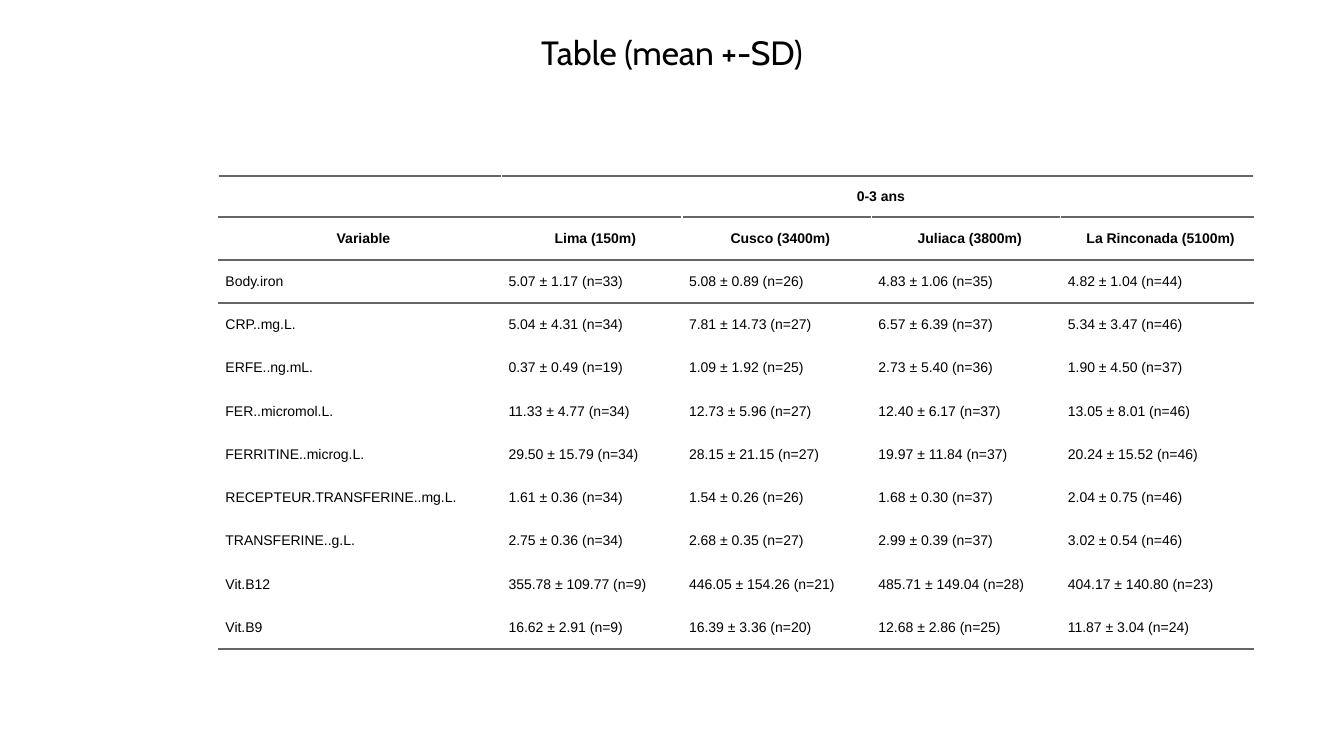
import dataclasses

import pptx
import pptx.dml.color
import pptx.enum.text
import pptx.oxml
import pptx.oxml.ns
import pptx.util


@dataclasses.dataclass(frozen=True)
class Theme:
    """Colours, fonts and sizes of the slide."""
    text: str = "000000"
    rule: str = "666666"
    title_font: str = "Cabin"
    table_font: str = "Arial"
    title_size: float = 24
    table_size: float = 10
    rule_width: float = 1.5
    indent: float = 0.07


THEME = Theme()
SLIDE_WIDTH, SLIDE_HEIGHT = pptx.util.Inches(13.33), pptx.util.Inches(7.5)
GRID_COLUMNS, GRID_ROWS = 160, 90
TABLE_LEFT, TABLE_TOP = 26, 21
COLUMN_WIDTHS = [33.7, 21.5, 22.55, 22.55, 22.9]
GROUP_ROW_HEIGHT, ROW_HEIGHT = 4.8, 5.15
GROUP = "0-3 ans"
HEADINGS = ["Variable", "Lima (150m)", "Cusco (3400m)", "Juliaca (3800m)", "La Rinconada (5100m)"]
MEASURES = [
    ["Body.iron", "5.07 ± 1.17 (n=33)", "5.08 ± 0.89 (n=26)", "4.83 ± 1.06 (n=35)", "4.82 ± 1.04 (n=44)"],
    ["CRP..mg.L.", "5.04 ± 4.31 (n=34)", "7.81 ± 14.73 (n=27)", "6.57 ± 6.39 (n=37)", "5.34 ± 3.47 (n=46)"],
    ["ERFE..ng.mL.", "0.37 ± 0.49 (n=19)", "1.09 ± 1.92 (n=25)", "2.73 ± 5.40 (n=36)", "1.90 ± 4.50 (n=37)"],
    ["FER..micromol.L.", "11.33 ± 4.77 (n=34)", "12.73 ± 5.96 (n=27)", "12.40 ± 6.17 (n=37)",
     "13.05 ± 8.01 (n=46)"],
    ["FERRITINE..microg.L.", "29.50 ± 15.79 (n=34)", "28.15 ± 21.15 (n=27)", "19.97 ± 11.84 (n=37)",
     "20.24 ± 15.52 (n=46)"],
    ["RECEPTEUR.TRANSFERINE..mg.L.", "1.61 ± 0.36 (n=34)", "1.54 ± 0.26 (n=26)", "1.68 ± 0.30 (n=37)",
     "2.04 ± 0.75 (n=46)"],
    ["TRANSFERINE..g.L.", "2.75 ± 0.36 (n=34)", "2.68 ± 0.35 (n=27)", "2.99 ± 0.39 (n=37)", "3.02 ± 0.54 (n=46)"],
    ["Vit.B12", "355.78 ± 109.77 (n=9)", "446.05 ± 154.26 (n=21)", "485.71 ± 149.04 (n=28)",
     "404.17 ± 140.80 (n=23)"],
    ["Vit.B9", "16.62 ± 2.91 (n=9)", "16.39 ± 3.36 (n=20)", "12.68 ± 2.86 (n=25)", "11.87 ± 3.04 (n=24)"],
]


def across(columns):
    """Return the width of a number of grid columns."""
    return int(SLIDE_WIDTH * columns / GRID_COLUMNS)


def down(rows):
    """Return the height of a number of grid rows."""
    return int(SLIDE_HEIGHT * rows / GRID_ROWS)


def style_paragraph(paragraph, font_name, size, bold=False, centred=False):
    """Set the font and alignment of a paragraph."""
    alignment = pptx.enum.text.PP_ALIGN
    paragraph.alignment = alignment.CENTER if centred else alignment.LEFT
    paragraph.font.name = font_name
    paragraph.font.size = pptx.util.Pt(size)
    paragraph.font.bold = bold
    paragraph.font.color.rgb = pptx.dml.color.RGBColor.from_string(THEME.text)


def add_title(slide, text):
    """Add the centred slide title."""
    box = slide.shapes.add_textbox(across(5.5), down(-2.15), across(149), down(17.4))
    frame = box.text_frame
    frame.word_wrap = True
    frame.vertical_anchor = pptx.enum.text.MSO_ANCHOR.MIDDLE
    paragraph = frame.paragraphs[0]
    paragraph.text = text
    paragraph.line_spacing = 0.9
    style_paragraph(paragraph, THEME.title_font, THEME.title_size, centred=True)


def add_rule(cell, side):
    """Draw a horizontal rule on the top (T) or bottom (B) of a cell."""
    line = pptx.oxml.parse_xml(
        f'<a:ln{side} {pptx.oxml.ns.nsdecls("a")} w="{pptx.util.Pt(THEME.rule_width)}">'
        f'<a:solidFill><a:srgbClr val="{THEME.rule}"/></a:solidFill></a:ln{side}>')
    cell._tc.get_or_add_tcPr().insert(0, line)


def fill_cell(cell, text, heading, sides):
    """Write a cell and draw its rules."""
    cell.fill.background()
    cell.vertical_anchor = pptx.enum.text.MSO_ANCHOR.MIDDLE
    cell.margin_left = cell.margin_right = 0
    cell.margin_top = cell.margin_bottom = pptx.util.Inches(THEME.indent)
    paragraph = cell.text_frame.paragraphs[0]
    if text:
        paragraph.text = text
    paragraph._p.get_or_add_pPr().set("marL", str(pptx.util.Inches(THEME.indent)))
    style_paragraph(paragraph, THEME.table_font, THEME.table_size, heading, heading)
    for side in sides:
        add_rule(cell, side)


def add_measure_table(slide):
    """Add the table of measures by town."""
    rows = [["", GROUP, "", "", ""], HEADINGS, *MEASURES]
    heights = [GROUP_ROW_HEIGHT] + [ROW_HEIGHT] * (len(rows) - 1)
    table = slide.shapes.add_table(
        len(rows), len(COLUMN_WIDTHS), across(TABLE_LEFT), down(TABLE_TOP),
        across(sum(COLUMN_WIDTHS)), down(sum(heights))).table
    table.first_row = table.horz_banding = False
    for column, width in zip(table.columns, COLUMN_WIDTHS):
        column.width = across(width)
    rules = {0: "BT", 1: "BT", 2: "T", len(rows) - 1: "B"}
    for index, texts in enumerate(rows):
        table.rows[index].height = down(heights[index])
        for cell, text in zip(table.rows[index].cells, texts):
            fill_cell(cell, text, index < 2, rules.get(index, ""))
    table.cell(0, 1).merge(table.cell(0, len(COLUMN_WIDTHS) - 1))


def main():
    """Build and save the slide."""
    presentation = pptx.Presentation()
    presentation.slide_width, presentation.slide_height = SLIDE_WIDTH, SLIDE_HEIGHT
    slide = presentation.slides.add_slide(presentation.slide_layouts[6])
    add_measure_table(slide)
    add_title(slide, "Table (mean +-SD)")
    presentation.save("out.pptx")


if __name__ == "__main__":
    main()
